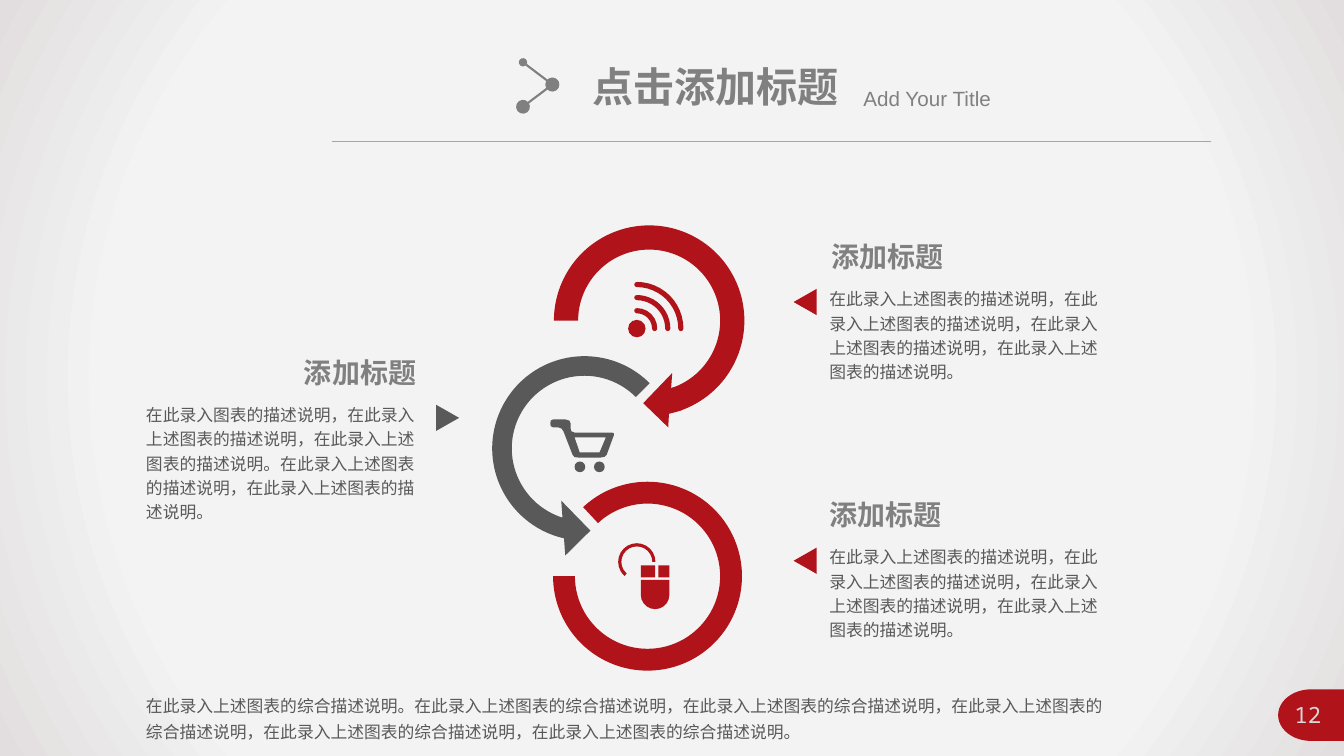
import math

import pptx
import pptx.dml.color
import pptx.enum.shapes
import pptx.enum.text
import pptx.oxml
import pptx.oxml.ns
import pptx.util

Cm = pptx.util.Cm
SHAPE = pptx.enum.shapes.MSO_SHAPE
ALIGN = pptx.enum.text.PP_ALIGN
COLORS = {
    "red": "B01319", "dark": "595959", "gray": "808080", "rule": "A6A6A6",
    "number": "D9D9D9", "center": "F5F5F5", "middle": "F3F3F3", "edge": "E2DEDF",
}
CHINESE_FONT = "Noto Sans CJK SC"
HEADING = "添加标题"
CLAUSE = "在此录入上述图表的描述说明"
RIGHT_TEXT = "，".join([CLAUSE] * 4) + "。"
LEFT_TEXT = f"在此录入图表的描述说明，{CLAUSE}，{CLAUSE}。{CLAUSE}，{CLAUSE}。"
SUMMARY_CLAUSE = "在此录入上述图表的综合描述说明"
SUMMARY = SUMMARY_CLAUSE + "。" + "，".join([SUMMARY_CLAUSE] * 5) + "。"


def rgb(color):
    return pptx.dml.color.RGBColor.from_string(COLORS[color])


def arc(center, radius, start, end, steps):
    """Points on a circle; angles in degrees, clockwise from the right."""
    angles = [math.radians(start + (end - start) * i / steps) for i in range(steps + 1)]
    return [(center[0] + radius * math.cos(a), center[1] + radius * math.sin(a))
            for a in angles]


def rectangle(left, top, right, bottom):
    return [(left, top), (right, top), (right, bottom), (left, bottom)]


class SlideBuilder:
    def __init__(self, slide):
        self.slide = slide
        self.shapes = slide.shapes

    def background(self, stops):
        """Circular gradient from the middle; stops are (percent, color)."""
        self.slide.background.fill.gradient()
        gradient = self.slide.element.find(".//" + pptx.oxml.ns.qn("a:gradFill"))
        for child in list(gradient):
            gradient.remove(child)
        listed = "".join(f'<a:gs pos="{percent * 1000}"><a:srgbClr val="{COLORS[color]}"/></a:gs>'
                         for percent, color in stops)
        namespace = pptx.oxml.ns.nsdecls("a")
        gradient.append(pptx.oxml.parse_xml(f"<a:gsLst {namespace}>{listed}</a:gsLst>"))
        gradient.append(pptx.oxml.parse_xml(
            f'<a:path {namespace} path="circle">'
            '<a:fillToRect l="50000" t="50000" r="50000" b="50000"/></a:path>'))

    def paint(self, shape, color):
        shape.shadow.inherit = False
        shape.fill.solid()
        shape.fill.fore_color.rgb = rgb(color)
        shape.line.fill.background()

    def preset(self, kind, left, top, width, height, color, rotation=0, adjustments=()):
        shape = self.shapes.add_shape(kind, Cm(left), Cm(top), Cm(width), Cm(height))
        for index, value in enumerate(adjustments):
            shape.adjustments[index] = value
        shape.rotation = rotation
        self.paint(shape, color)
        return shape

    def band(self, center, inner, outer, start, end, color):
        """Ring section, clockwise from start to end in degrees."""
        size = 2 * outer
        self.preset(SHAPE.BLOCK_ARC, center[0] - outer, center[1] - outer, size, size, color,
                    adjustments=(start * 0.6, end * 0.6, (outer - inner) / size))

    def wave(self, center, radius, width, color):
        """Quarter circle from top to right, drawn as a line with round ends."""
        shape = self.preset(SHAPE.ARC, center[0] - radius, center[1] - radius,
                            2 * radius, 2 * radius, color)
        shape.fill.background()
        shape.line.color.rgb = rgb(color)
        shape.line.width = Cm(width)
        shape.element.spPr.find(pptx.oxml.ns.qn("a:ln")).set("cap", "rnd")

    def outline(self, color, *contours):
        contours = [[(Cm(x), Cm(y)) for x, y in contour] for contour in contours]
        builder = self.shapes.build_freeform(*contours[0][0])
        for index, contour in enumerate(contours):
            if index:
                builder.move_to(*contour[0])
            builder.add_line_segments(contour[1:], close=True)
        self.paint(builder.convert_to_shape(), color)

    def line(self, start, end, color, width, head=None, tail=None):
        """Straight line; head and tail are sizes of round ends."""
        connector = self.shapes.add_connector(
            pptx.enum.shapes.MSO_CONNECTOR.STRAIGHT, *map(Cm, start + end))
        connector.line.color.rgb = rgb(color)
        connector.line.width = pptx.util.Pt(width)
        namespace = pptx.oxml.ns.nsdecls("a")
        properties = connector.element.spPr
        for name, size in (("headEnd", head), ("tailEnd", tail)):
            if size:
                properties.find(pptx.oxml.ns.qn("a:ln")).append(pptx.oxml.parse_xml(
                    f'<a:{name} {namespace} type="oval" w="{size}" len="{size}"/>'))
        properties.append(pptx.oxml.parse_xml(f"<a:effectLst {namespace}/>"))

    def text(self, text, left, top, width, height, size, color, font=CHINESE_FONT,
             bold=False, align=ALIGN.LEFT, spacing=1.0, wrap=True, shape=None):
        if shape is None:
            shape = self.shapes.add_textbox(0, 0, 0, 0)
        shape.left, shape.top, shape.width, shape.height = map(Cm, (left, top, width, height))
        frame = shape.text_frame
        frame.text = text
        frame.word_wrap = wrap
        frame.auto_size = pptx.enum.text.MSO_AUTO_SIZE.NONE
        frame.vertical_anchor = pptx.enum.text.MSO_ANCHOR.TOP
        paragraph = frame.paragraphs[0]
        paragraph.alignment = align
        paragraph.line_spacing = spacing
        run_font = paragraph.runs[0].font
        run_font.name = font
        run_font.size = pptx.util.Pt(size)
        run_font.bold = bold
        run_font.color.rgb = rgb(color)
        properties = paragraph.runs[0]._r.get_or_add_rPr()
        properties.append(pptx.oxml.parse_xml(
            f'<a:ea {pptx.oxml.ns.nsdecls("a")} typeface="{CHINESE_FONT}"/>'))


def draw_header(builder):
    builder.background([(0, "center"), (73, "middle"), (100, "edge")])
    builder.line((8.36, 3.56), (30.53, 3.56), "rule", 0.5)
    builder.text("点击添加标题", 14.68, 1.42, 6.78, 1.5, 29.3, "gray", "Arial", bold=True,
                 wrap=False, shape=builder.shapes.title)
    builder.text("Add Your Title", 21.51, 2.03, 6.4, 0.89, 14.7, "gray", "Arial")
    joint = (13.92, 2.13)
    builder.line((13.18, 1.57), joint, "gray", 1.5, "med", "lg")
    builder.line(joint, (13.18, 2.69), "gray", 1.5, "lg", "lg")


def draw_rings(builder):
    center, inner, outer = (16.36, 8.08), 1.79, 2.4
    builder.band(center, inner, outer, 180, 72, "red")
    arrow_head = [(16.84, 10.77), (16.21, 10.16), (16.94, 9.4)]
    builder.outline("red", arc(center, outer, 70, 78, 3) + arrow_head
                    + arc(center, inner, 72, 70, 1))
    builder.preset(SHAPE.LEFT_CIRCULAR_ARROW, 11.96, 8.53, 5.54, 5.54, "dark",
                   adjustments=(0.089, 11.423, 62.936, 189, 0.125))
    builder.band((16.32, 14.52), 1.83, 2.38, 227, 180, "red")


def draw_icons(builder):
    signal = (16.05, 8.28)
    builder.preset(SHAPE.OVAL, 15.83, 8.06, 0.44, 0.44, "red")
    for wave in range(3):
        builder.wave(signal, 0.45 + 0.33 * wave, 0.13, "red")

    for wheel_left in (14.48, 14.97):
        builder.preset(SHAPE.OVAL, wheel_left, 11.63, 0.27, 0.27, "dark")
    cart = [(15.42, 10.9), (14.48, 10.9), (14.4, 10.87), (14.38, 10.8), (14.38, 10.67),
            (14.35, 10.6), (14.25, 10.57), (13.94, 10.57), (13.88, 10.6), (13.87, 10.67),
            (13.88, 10.74), (13.94, 10.77), (14.07, 10.77), (14.15, 10.8), (14.2, 10.87),
            (14.43, 11.46), (14.48, 11.52), (14.58, 11.53), (15.14, 11.53),
            (15.24, 11.51), (15.29, 11.46), (15.47, 10.97), (15.47, 10.92)]
    basket = [(15.11, 11.4), (14.61, 11.4), (14.48, 11.02), (15.27, 11.02)]
    builder.outline("dark", cart, basket)

    mouse_body = [(16.15, 14.61), (16.87, 14.61)] + arc((16.51, 14.99), 0.36, 0, 180, 10)
    builder.outline("red", rectangle(16.15, 14.25, 16.51, 14.55),
                    rectangle(16.59, 14.25, 16.87, 14.55), mouse_body)
    builder.band((16.05, 14.16), 0.39, 0.47, 131, 0, "red")


def draw_descriptions(builder):
    for left, top, align in ((20.7, 5.92, ALIGN.LEFT), (20.65, 12.4, ALIGN.LEFT),
                             (7.39, 8.84, ALIGN.RIGHT)):
        builder.text(HEADING, left, top, 3.35, 1.12, 20, "gray", bold=True,
                     align=align, wrap=False)
    for left, top, color, rotation in ((19.96, 7.32, "red", 270), (19.96, 13.84, "red", 270),
                                       (10.95, 10.24, "dark", 90)):
        builder.preset(SHAPE.ISOSCELES_TRIANGLE, left, top, 0.66, 0.58, color, rotation)
    for text, left, top, width, height, spacing in (
            (RIGHT_TEXT, 20.65, 7.06, 7.65, 2.72, 1.2),
            (RIGHT_TEXT, 20.65, 13.56, 7.65, 2.72, 1.2),
            (LEFT_TEXT, 3.43, 9.98, 7.44, 3.33, 1.2),
            (SUMMARY, 3.43, 17.25, 24.82, 1.6, 1.3)):
        builder.text(text, left, top, width, height, 12, "dark", spacing=spacing)


def draw_page_number(builder):
    builder.preset(SHAPE.FLOWCHART_DELAY, 32.21, 17.37, 1.66, 1.3, "red", 180)
    builder.text("12", 32.12, 17.55, 1.68, 0.94, 16, "number", "Noto Sans Mono",
                 align=ALIGN.CENTER)


def main():
    presentation = pptx.Presentation()
    presentation.slide_width, presentation.slide_height = Cm(33.87), Cm(19.05)
    title_only = presentation.slide_layouts[5]
    builder = SlideBuilder(presentation.slides.add_slide(title_only))
    for draw in (draw_header, draw_rings, draw_icons, draw_descriptions, draw_page_number):
        draw(builder)
    presentation.save("out.pptx")


if __name__ == "__main__":
    main()
